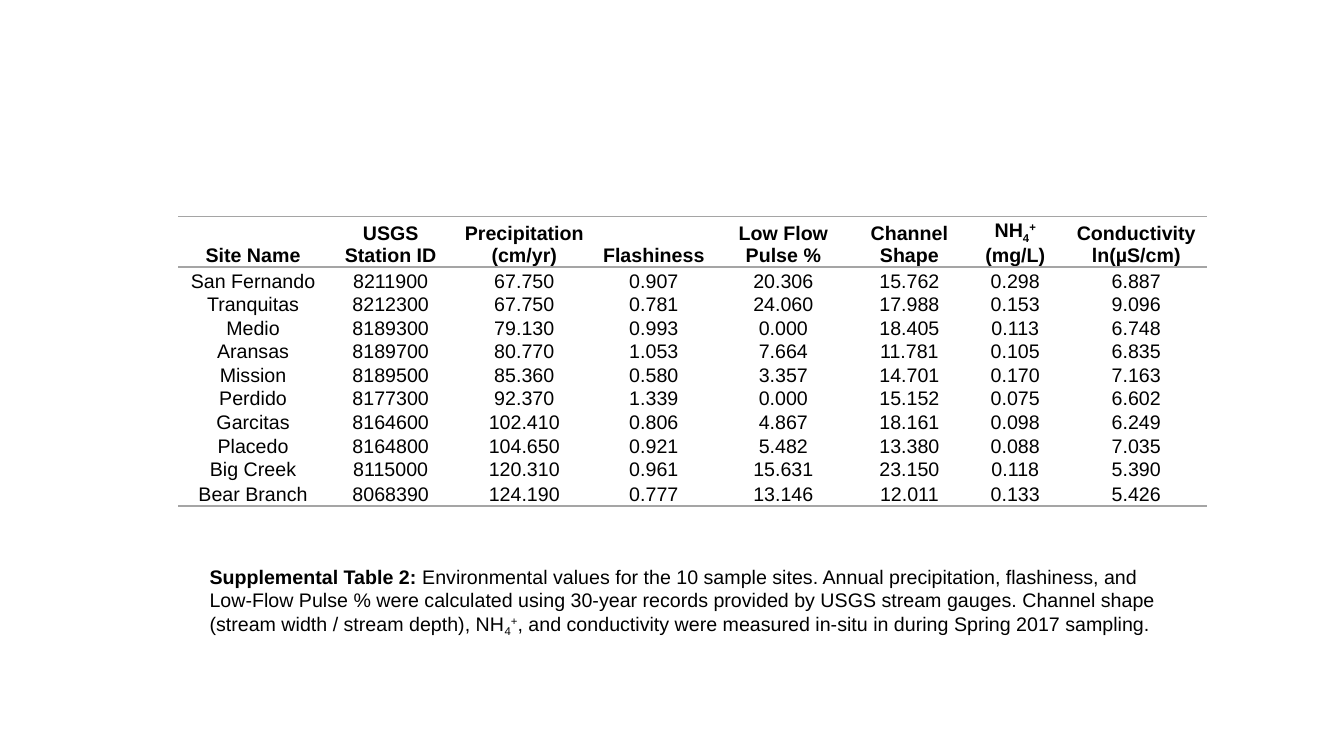
from lxml import etree
from pptx import Presentation
from pptx import util as u
from pptx.dml.color import RGBColor
from pptx.enum import text
from pptx.oxml import ns

SLIDE_WIDTH, SLIDE_HEIGHT = 13.33, 7.5
FONT, SIZE = "Arial", 14
BLACK, GREY = "000000", "A5A5A5"
SUBSCRIPT, SUPERSCRIPT = -25000, 30000
NO_STYLE = "{2D5ABB26-0587-4C30-8999-92F81FD0307C}"

AMMONIUM = [("NH", 0), ("4", SUBSCRIPT), ("+", SUPERSCRIPT)]
HEADINGS = [
    "Site Name", "USGS Station ID", "Precipitation (cm/yr)", "Flashiness",
    "Low Flow Pulse %", "Channel Shape", AMMONIUM + [(" (mg/L)", 0)],
    "Conductivity ln(µS/cm)",
]
SITES = [
    ("San Fernando", "8211900", "67.750", "0.907", "20.306", "15.762", "0.298", "6.887"),
    ("Tranquitas", "8212300", "67.750", "0.781", "24.060", "17.988", "0.153", "9.096"),
    ("Medio", "8189300", "79.130", "0.993", "0.000", "18.405", "0.113", "6.748"),
    ("Aransas", "8189700", "80.770", "1.053", "7.664", "11.781", "0.105", "6.835"),
    ("Mission", "8189500", "85.360", "0.580", "3.357", "14.701", "0.170", "7.163"),
    ("Perdido", "8177300", "92.370", "1.339", "0.000", "15.152", "0.075", "6.602"),
    ("Garcitas", "8164600", "102.410", "0.806", "4.867", "18.161", "0.098", "6.249"),
    ("Placedo", "8164800", "104.650", "0.921", "5.482", "13.380", "0.088", "7.035"),
    ("Big Creek", "8115000", "120.310", "0.961", "15.631", "23.150", "0.118", "5.390"),
    ("Bear Branch", "8068390", "124.190", "0.777", "13.146", "12.011", "0.133", "5.426"),
]
CAPTION_LABEL = "Supplemental Table 2: "
CAPTION = [
    ("Environmental values for the 10 sample sites. Annual precipitation, flashiness, "
     "and Low-Flow Pulse % were calculated using 30-year records provided by USGS "
     "stream gauges. Channel shape (stream width / stream depth), ", 0),
    *AMMONIUM,
    (", and conductivity were measured in-situ in during Spring 2017 sampling.", 0),
]

TABLE_LEFT, TABLE_TOP = 1.77, 2.15
COLUMNS = [1.48, 1.25, 1.4, 1.17, 1.4, 1.1, 1, 1.4]
ROWS = [0.44, 0.25] + [0.22] * (len(SITES) - 2) + [0.25]
CAPTION_BOX = (1.98, 5.55, 9.78, 0.81)


def color(value):
    return RGBColor.from_string(value)


def write(paragraph, content, bold=False):
    pieces = [(content, 0)] if isinstance(content, str) else content
    for words, baseline in pieces:
        run = paragraph.add_run()
        run.text = words
        if baseline:
            run.font._element.set("baseline", str(baseline))
    paragraph.font.name = FONT
    paragraph.font.size = u.Pt(SIZE)
    paragraph.font.bold = bold
    paragraph.font.color.rgb = color(BLACK)


def rule(cell, sides):
    properties = cell._tc.get_or_add_tcPr()
    for side in sides:
        line = etree.SubElement(properties, ns.qn(f"a:ln{side}"), w=str(u.Pt(1)))
        fill = etree.SubElement(line, ns.qn("a:solidFill"))
        etree.SubElement(fill, ns.qn("a:srgbClr"), val=GREY)


def add_site_table(slide):
    grid = [HEADINGS, *SITES]
    table = slide.shapes.add_table(
        len(grid), len(COLUMNS), u.Inches(TABLE_LEFT), u.Inches(TABLE_TOP),
        u.Inches(sum(COLUMNS)), u.Inches(sum(ROWS))).table
    table.first_row = table.horz_banding = False
    table._tbl.tblPr.find(ns.qn("a:tableStyleId")).text = NO_STYLE
    for column, width in zip(table.columns, COLUMNS):
        column.width = u.Inches(width)
    for row, height in zip(table.rows, ROWS):
        row.height = u.Inches(height)
    ruled_sides = {0: "TB", len(SITES): "B"}
    for r, values in enumerate(grid):
        for c, value in enumerate(values):
            cell = table.cell(r, c)
            cell.margin_left = cell.margin_right = 0
            cell.margin_top = cell.margin_bottom = 0
            cell.vertical_anchor = text.MSO_ANCHOR.BOTTOM
            rule(cell, ruled_sides.get(r, ""))
            cell.fill.background()
            paragraph = cell.text_frame.paragraphs[0]
            paragraph.alignment = text.PP_ALIGN.CENTER
            write(paragraph, value, bold=r == 0)


def add_caption(slide):
    frame = slide.shapes.add_textbox(*map(u.Inches, CAPTION_BOX)).text_frame
    frame.word_wrap = True
    frame.auto_size = text.MSO_AUTO_SIZE.SHAPE_TO_FIT_TEXT
    paragraph = frame.paragraphs[0]
    label = paragraph.add_run()
    label.text = CAPTION_LABEL
    label.font.bold = True
    write(paragraph, CAPTION)


def main():
    deck = Presentation()
    deck.slide_width = u.Inches(SLIDE_WIDTH)
    deck.slide_height = u.Inches(SLIDE_HEIGHT)
    slide = deck.slides.add_slide(deck.slide_layouts[6])
    add_caption(slide)
    add_site_table(slide)
    deck.save("out.pptx")


if __name__ == "__main__":
    main()
